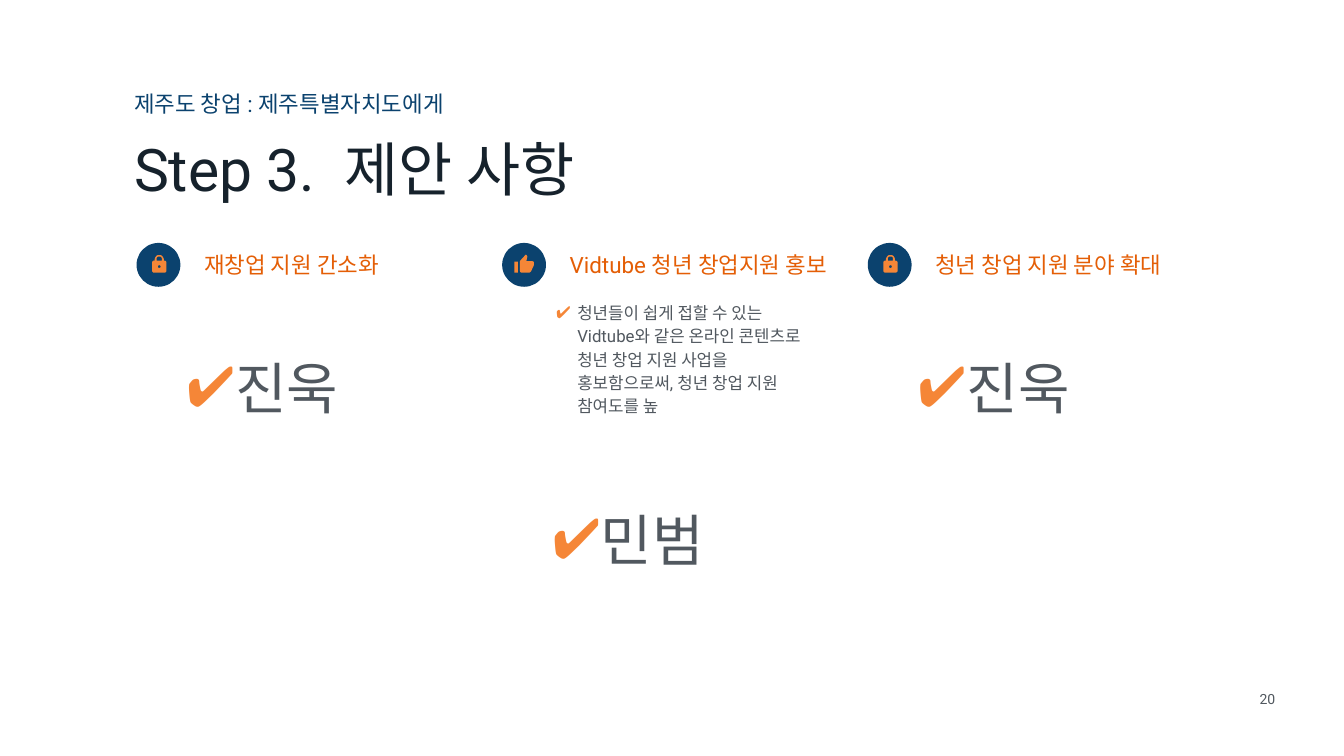
from dataclasses import dataclass
from math import cos, radians, sin

from lxml.etree import SubElement
from pptx import Presentation
from pptx.dml.color import RGBColor
from pptx.enum.shapes import MSO_SHAPE as Shape
from pptx.enum.text import MSO_ANCHOR as Anchor, MSO_AUTO_SIZE as AutoSize, PP_ALIGN as Align
from pptx.oxml.ns import qn
from pptx.util import Emu, Inches, Pt

Point = tuple[float, float]
Contour = list[Point]


@dataclass(frozen=True)
class Theme:
    font: str = "Roboto"
    navy: str = "0B426E"
    orange: str = "F58637"
    heading: str = "E45E06"
    ink: str = "16222C"
    grey: str = "51585F"
    title_size: int = 84
    name_size: int = 80
    heading_size: int = 32
    body_size: int = 24
    page_size: int = 20


@dataclass(frozen=True)
class Bullet:
    text: str
    size: int
    line: float = 1.8
    before: int = 0
    margin: float = 0.38
    hang: float = 0.38


@dataclass(frozen=True)
class Proposal:
    heading: str
    icon: list[Contour]
    bullets: list[Bullet]
    placeholder: int
    height: float


THEME = Theme()
SLIDE_W, SLIDE_H = 26.67, 15

# Column grid: badge, then list and heading offset from the badge
GRID_LEFT, PITCH, BADGE_TOP, BADGE = 2.71, 7.255, 4.82, 0.87
LIST_DX, LIST_TOP, LIST_W = 0.89, 5.9, 5.55
HEADING_DX, HEADING_TOP, HEADING_W = 1.3, 4.94, 6


def arc(cx: float, cy: float, r: float, start: int, end: int) -> Contour:
    """Points along a circle, angles in degrees, clockwise on the slide."""
    steps = 8
    angles = [radians(start + (end - start) * i / steps) for i in range(steps + 1)]
    return [(cx + r * cos(a), cy + r * sin(a)) for a in angles]


# Icon outlines, in hundredths of an inch from the badge corner
LOCK = [
    arc(45, 32, 8.5, 0, -180)[::-1] + [(53.5, 35)] + arc(55.5, 38.5, 3.5, -90, 0)
    + arc(55.5, 55.5, 3.5, 0, 90) + arc(34.5, 55.5, 3.5, 90, 180)
    + arc(34.5, 38.5, 3.5, 180, 270) + [(36.5, 35)],
    arc(45, 47, 3.5, 0, 360),
    arc(45, 32, 5.3, 180, 360) + [(50.3, 35), (39.7, 35)],
]
THUMB = [
    [(24, 59), (31, 59), (31, 37), (24, 37)],
    [(63, 39), (62, 37), (59, 36), (48, 36), (50, 27), (49, 25), (47, 23),
     (36, 35), (35, 37), (35, 55), (36, 58), (38, 59), (54, 59), (57, 57),
     (63, 44)],
]

PROPOSALS = [
    Proposal("재창업 지원 간소화", LOCK, [Bullet("진욱", THEME.name_size)], 2, 2.52),
    Proposal(
        "Vidtube 청년 창업지원 홍보", THUMB,
        [Bullet("청년들이 쉽게 접할 수 있는 Vidtube와 같은 온라인 콘텐츠로 청년 창업 지원 사업을 "
                "홍보함으로써, 청년 창업 지원 참여도를 높",
                THEME.body_size, line=1.15, margin=0.5, hang=0.42),
         Bullet("민범", THEME.name_size, before=52)], 3, 5.56),
    Proposal("청년 창업 지원 분야 확대", LOCK, [Bullet("진욱", THEME.name_size)], 4, 2.52),
]


def place(shape, left: float, top: float, width: float, height: float) -> None:
    shape.left, shape.top = Inches(left), Inches(top)
    shape.width, shape.height = Inches(width), Inches(height)


def set_frame(frame, inset_x: float = 0.04, inset_y: float = 0.04, anchor=Anchor.TOP) -> None:
    frame.word_wrap = True
    frame.auto_size = AutoSize.NONE
    frame.vertical_anchor = anchor
    frame.margin_left = frame.margin_right = Inches(inset_x)
    frame.margin_top = frame.margin_bottom = Inches(inset_y)


def style(paragraph, size: int, color: str, align=Align.LEFT) -> None:
    paragraph.alignment = align
    font = paragraph.font
    font.name, font.size, font.bold = THEME.font, Pt(size), False
    font.color.rgb = RGBColor.from_string(color)


def write_line(shape, text: str, size: int, color: str, align=Align.LEFT, anchor=Anchor.TOP) -> None:
    set_frame(shape.text_frame, anchor=anchor)
    paragraph = shape.text_frame.paragraphs[0]
    paragraph.text = text
    paragraph.space_before = Pt(0)
    style(paragraph, size, color, align)


def add_line(slide, box: tuple[float, float, float, float], *args, **kwargs) -> None:
    write_line(slide.shapes.add_textbox(*map(Inches, box)), *args, **kwargs)


def write_bullets(shape, bullets: list[Bullet]) -> None:
    frame = shape.text_frame
    set_frame(frame, 0.1, 0.05)
    for i, bullet in enumerate(bullets):
        paragraph = frame.add_paragraph() if i else frame.paragraphs[0]
        paragraph.text = bullet.text
        props = paragraph._p.get_or_add_pPr()
        props.set("marL", str(Inches(bullet.margin)))
        props.set("indent", str(-Inches(bullet.hang)))
        SubElement(SubElement(props, qn("a:buClr")), qn("a:srgbClr"), val=THEME.orange)
        SubElement(props, qn("a:buChar"), char="✔")
        paragraph.line_spacing = bullet.line
        paragraph.space_before = Pt(bullet.before)
        style(paragraph, bullet.size, THEME.grey)


def paint(shape, color: str) -> None:
    shape.shadow.inherit = False
    shape.fill.solid()
    shape.fill.fore_color.rgb = RGBColor.from_string(color)
    shape.line.fill.background()


def draw_badge(slide, left: float, icon: list[Contour]) -> None:
    circle = slide.shapes.add_shape(
        Shape.OVAL, *map(Inches, (left, BADGE_TOP, BADGE, BADGE)))
    paint(circle, THEME.navy)
    first, *others = icon
    unit = Inches(0.01)
    builder = slide.shapes.build_freeform(*first[0], scale=unit)
    builder.add_line_segments(first[1:])
    for contour in others:
        builder.move_to(*contour[0])
        builder.add_line_segments(contour[1:])
    paint(builder.convert_to_shape(Emu(Inches(left)), Emu(Inches(BADGE_TOP))), THEME.orange)


def draw_proposal(slide, column: int, proposal: Proposal) -> None:
    left = GRID_LEFT + column * PITCH
    details = slide.placeholders[proposal.placeholder]
    place(details, left + LIST_DX, LIST_TOP, LIST_W, proposal.height)
    write_bullets(details, proposal.bullets)
    add_line(slide, (left + HEADING_DX, HEADING_TOP, HEADING_W, BADGE),
             proposal.heading, THEME.heading_size, THEME.heading)
    draw_badge(slide, left, proposal.icon)


def main() -> None:
    deck = Presentation()
    deck.slide_width, deck.slide_height = Inches(SLIDE_W), Inches(SLIDE_H)
    slide = deck.slides.add_slide(deck.slide_layouts.get_by_name("Comparison"))

    # Title and the topic line above it
    title = slide.shapes.title
    place(title, 2.62, 2.59, 13.05, 1.73)
    write_line(title, "Step 3.  제안 사항", THEME.title_size, THEME.ink)
    topic = slide.placeholders[1]
    place(topic, 2.62, 1.75, 10.13, 0.62)
    write_line(topic, "제주도 창업 : 제주특별자치도에게", THEME.heading_size, THEME.navy,
               anchor=Anchor.MIDDLE)

    # Three proposals
    for column, proposal in enumerate(PROPOSALS):
        draw_proposal(slide, column, proposal)

    # Page number
    add_line(slide, (24.66, 13.66, 0.98, 0.42), "20", THEME.page_size, THEME.grey,
             align=Align.CENTER)
    deck.save("out.pptx")


if __name__ == "__main__":
    main()
